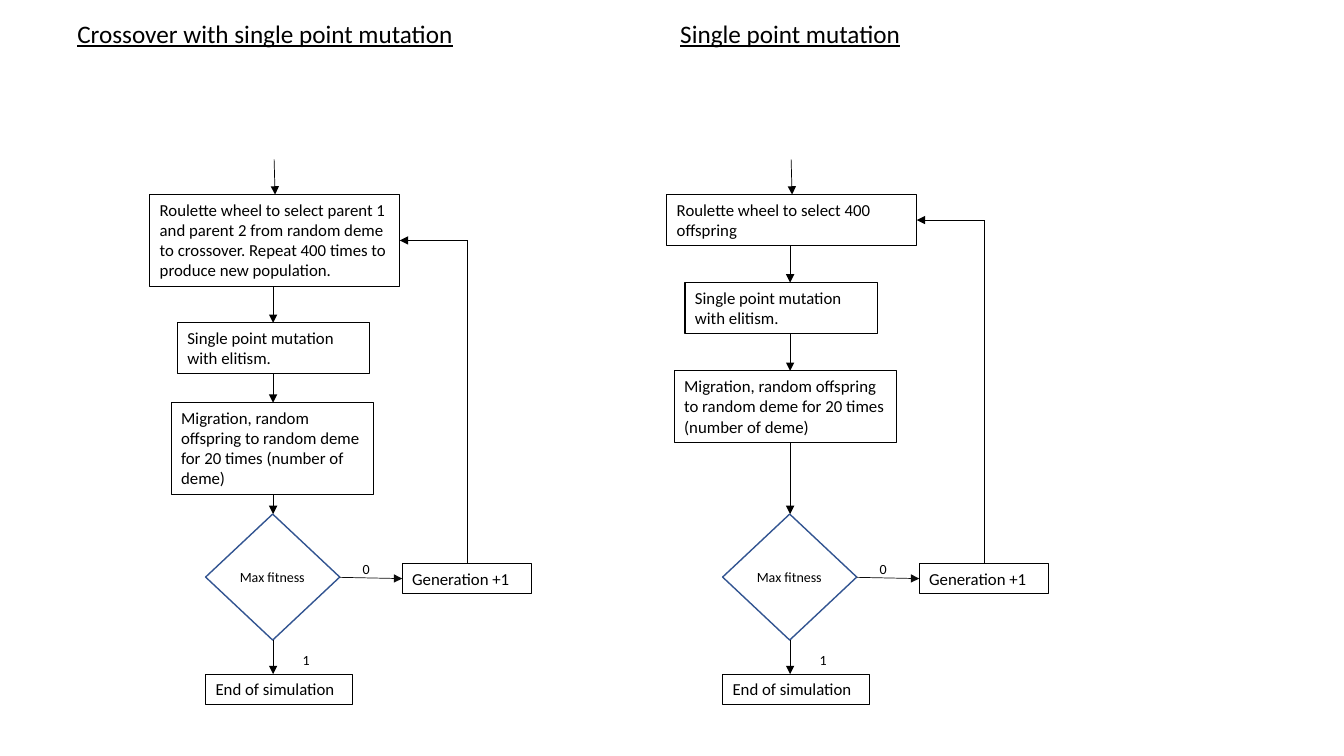
from dataclasses import dataclass

from lxml.etree import SubElement
from pptx import Presentation
from pptx.dml.color import RGBColor
from pptx.enum.shapes import MSO_CONNECTOR, MSO_SHAPE
from pptx.enum.text import MSO_ANCHOR, MSO_AUTO_SIZE, PP_ALIGN
from pptx.oxml.ns import qn
from pptx.shapes.autoshape import Shape
from pptx.slide import Slide
from pptx.util import Pt

COLORS = {"ink": "000000", "decision": "325491", "no_branch": "0D0D0D"}
FONT = "Calibri"
FLOW_OFFSET = 369.3
AXIS = 195.1
RISER = 333.7
ENTRY_TOP = 113.8


@dataclass(frozen=True)
class Block:
    text: str
    left: float
    top: float
    width: float
    height: float

    @property
    def right(self) -> float:
        return self.left + self.width

    @property
    def bottom(self) -> float:
        return self.top + self.height

    @property
    def middle(self) -> float:
        return self.top + self.height / 2


@dataclass(frozen=True)
class Flow:
    offset: float
    steps: tuple[Block, ...]


MIGRATION = "Migration, random offspring to random deme for 20 times (number of deme)"
MUTATION = "Single point mutation with elitism."
CROSSOVER = (
    "Roulette wheel to select parent 1 and parent 2 from random deme to crossover. "
    "Repeat 400 times to produce new population."
)

FLOWS = (
    Flow(0, (
        Block(CROSSOVER, 107, 139, 178.6, 65.5),
        Block(MUTATION, 126.7, 230.6, 137.5, 36.4),
        Block(MIGRATION, 122.3, 287.7, 144.7, 65.5),
    )),
    Flow(FLOW_OFFSET, (
        Block("Roulette wheel to select 400 offspring", 107, 139, 178.6, 36.4),
        Block(MUTATION, 120, 201.8, 137.5, 36.4),
        Block(MIGRATION, 112.3, 265, 159.1, 50.9),
    )),
)

DECISION = Block("", 146.9, 367.2, 95.8, 90)
GENERATION = Block("Generation +1", 287.3, 402.4, 92.2, 21.8)
ENDING = Block("End of simulation", 146.9, 481.6, 105.1, 21.8)
LABELS = (
    Block("Max fitness", 164.2, 402.5, 61.2, 19.4),
    Block("0", 252, 397.1, 19.4, 19.4),
    Block("1", 209.1, 461.5, 19.4, 19.4),
)
MAIN_HEADING = Block("Crossover with single point mutation", 48, 9.4, 296.6, 29.1)
SECOND_HEADING = Block("Single point mutation", 478.8, 9.4, 296.6, 29.1)


def write(shape: Shape, text: str, size: float, wrap: bool = True, underline: bool = False) -> None:
    frame = shape.text_frame
    frame.text = text
    frame.word_wrap = wrap
    frame.auto_size = MSO_AUTO_SIZE.SHAPE_TO_FIT_TEXT
    frame.vertical_anchor = MSO_ANCHOR.TOP
    paragraph = frame.paragraphs[0]
    paragraph.alignment = PP_ALIGN.LEFT
    font = paragraph.runs[0].font
    font.name = FONT
    font.size = Pt(size)
    font.underline = underline
    font.color.rgb = RGBColor.from_string(COLORS["ink"])


def place(shape: Shape, block: Block) -> None:
    shape.left, shape.top = Pt(block.left), Pt(block.top)
    shape.width, shape.height = Pt(block.width), Pt(block.height)


def add_outline(slide: Slide, block: Block, offset: float, preset: MSO_SHAPE, color: str, weight: float) -> Shape:
    outline = slide.shapes.add_shape(
        preset, Pt(block.left + offset), Pt(block.top), Pt(block.width), Pt(block.height)
    )
    outline.shadow.inherit = False
    outline.fill.background()
    outline.line.color.rgb = RGBColor.from_string(COLORS[color])
    outline.line.width = Pt(weight)
    return outline


def add_step(slide: Slide, block: Block, offset: float) -> None:
    write(add_outline(slide, block, offset, MSO_SHAPE.RECTANGLE, "ink", 0.75), block.text, 12)


def add_text(slide: Slide, block: Block, offset: float, size: float, wrap: bool, underline: bool) -> None:
    label = slide.shapes.add_textbox(
        Pt(block.left + offset), Pt(block.top), Pt(block.width), Pt(block.height)
    )
    write(label, block.text, size, wrap, underline)


def add_link(slide: Slide, offset: float, start: tuple[float, float], end: tuple[float, float],
             color: str = "ink", arrow: bool = True) -> None:
    link = slide.shapes.add_connector(
        MSO_CONNECTOR.STRAIGHT, Pt(start[0] + offset), Pt(start[1]), Pt(end[0] + offset), Pt(end[1])
    )
    link.line.color.rgb = RGBColor.from_string(COLORS[color])
    link.line.width = Pt(0.5)
    if arrow:
        SubElement(link.line._get_or_add_ln(), qn("a:tailEnd"), type="triangle")
    SubElement(link._element.spPr, qn("a:effectLst"))


def draw_flow(slide: Slide, flow: Flow) -> None:
    offset, selection = flow.offset, flow.steps[0]
    for step in (*flow.steps, GENERATION, ENDING):
        add_step(slide, step, offset)
    add_outline(slide, DECISION, offset, MSO_SHAPE.FLOWCHART_DECISION, "decision", 1)

    chain = (*flow.steps, DECISION, ENDING)
    add_link(slide, offset, (195.8, ENTRY_TOP), (196.5, selection.top))
    for upper, lower in zip(chain, chain[1:]):
        add_link(slide, offset, (AXIS, upper.bottom), (AXIS, lower.top))

    add_link(slide, offset, (DECISION.right, 412.4), (GENERATION.left, GENERATION.middle), "no_branch")
    add_link(slide, offset, (RISER, GENERATION.top), (RISER, selection.middle), arrow=False)
    add_link(slide, offset, (RISER, selection.middle), (selection.right, selection.middle))
    for label in LABELS:
        add_text(slide, label, offset, 10, wrap=False, underline=False)


def main() -> None:
    deck = Presentation()
    deck.slide_width, deck.slide_height = Pt(960), Pt(540)
    slide = deck.slides.add_slide(deck.slide_layouts[5])
    title = slide.shapes.title
    place(title, MAIN_HEADING)
    write(title, MAIN_HEADING.text, 18, underline=True)
    add_text(slide, SECOND_HEADING, 0, 18, wrap=True, underline=True)
    for flow in FLOWS:
        draw_flow(slide, flow)
    deck.save("out.pptx")


if __name__ == "__main__":
    main()
